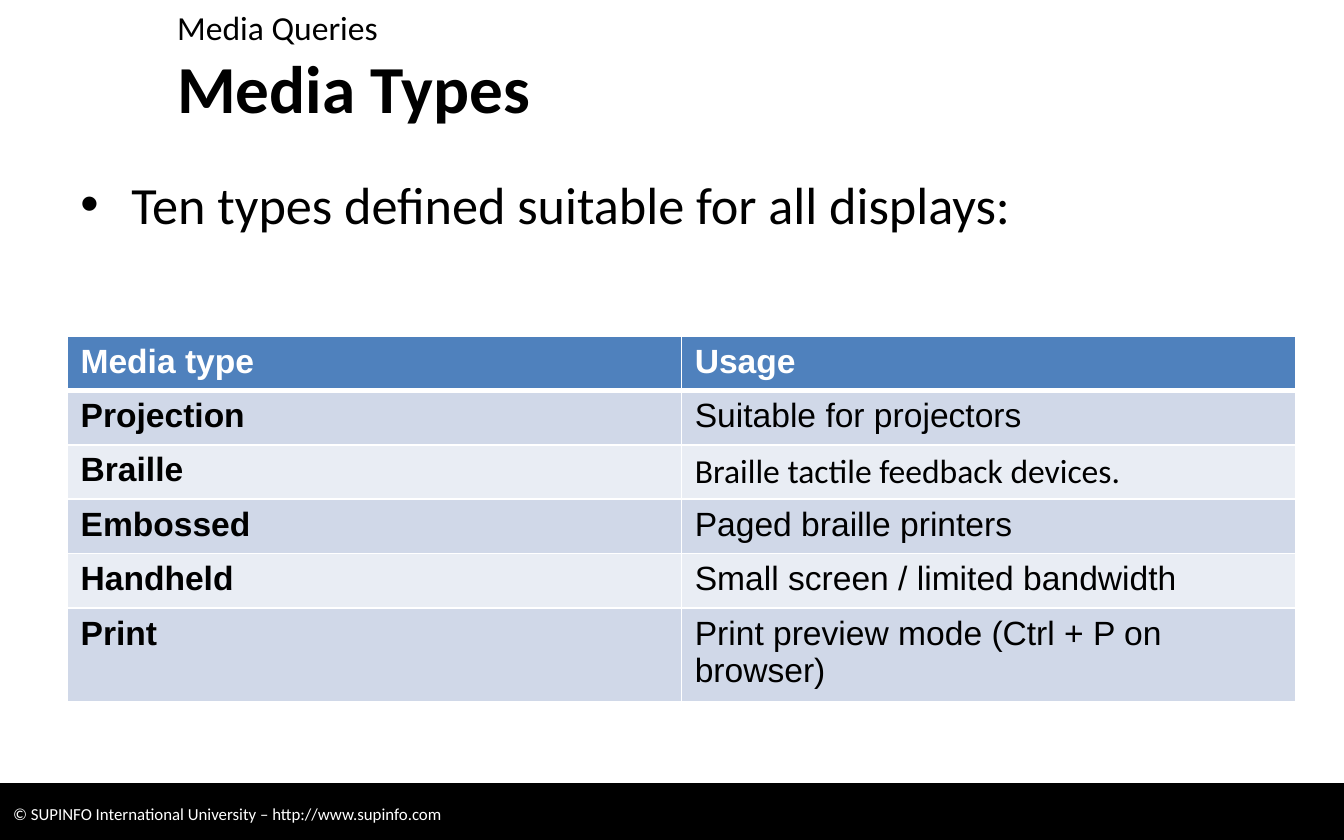
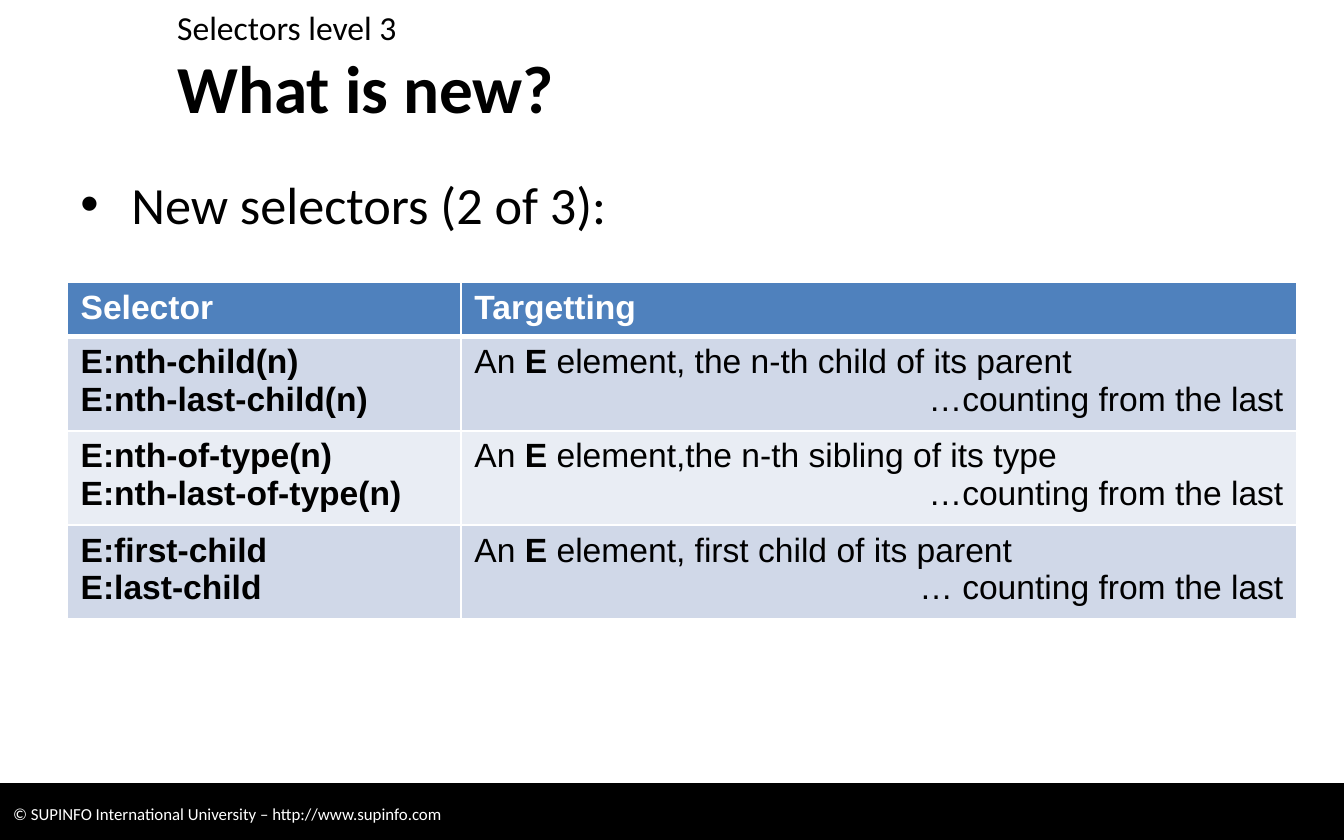
from dataclasses import dataclass
from typing import NamedTuple

from lxml.etree import SubElement
from pptx import Presentation
from pptx.dml.color import RGBColor
from pptx.enum.shapes import MSO_SHAPE
from pptx.enum.text import MSO_ANCHOR, PP_ALIGN
from pptx.oxml.ns import qn
from pptx.slide import Slide
from pptx.table import _Cell
from pptx.text.text import TextFrame, _Paragraph
from pptx.util import Emu, Inches, Pt


@dataclass(frozen=True)
class Theme:
    black: str = "000000"
    white: str = "FFFFFF"
    header: str = "4F81BD"
    bands: tuple[str, str] = ("D0D8E8", "E9EDF4")
    text_font: str = "Calibri"
    table_font: str = "Arial"
    title_size: int = 36
    bullet_size: int = 28
    regular_size: int = 18
    footer_size: int = 9
    thin_line: float = 1
    header_line: float = 3


class Span(NamedTuple):
    text: str
    bold: bool = False


class Line(NamedTuple):
    spans: tuple[Span, ...]
    align: PP_ALIGN = PP_ALIGN.LEFT


class CellText(NamedTuple):
    lines: tuple[Line, ...]
    font: str


class TableSpec(NamedTuple):
    top: float
    height: float
    columns: tuple[float, ...]
    headings: tuple[str, ...]
    rows: tuple[tuple[CellText, ...], ...]


class PageSpec(NamedTuple):
    section: str
    title: str
    bullet: str
    table: TableSpec


THEME = Theme()
PAGE_WIDTH, PAGE_HEIGHT = Inches(10), Inches(6.25)
HEADING_LEFT = Inches(1.22)
BODY_LEFT = Inches(0.5)
ROW_HEIGHT = Emu(Inches(2.43) // 6)
FOOTER = "© SUPINFO International University – http://www.supinfo.com"


# Content
def plain(text: str, bold: bool = False, font: str = THEME.table_font) -> CellText:
    return CellText((Line((Span(text, bold),)),), font)


def target(description: str, ending: str = "…counting from the last") -> CellText:
    first = Line((Span("An "), Span("E", True), Span(description)))
    return CellText((first, Line((Span(ending),), PP_ALIGN.RIGHT)), THEME.table_font)


PAGES = (
    PageSpec(
        "Media Queries", "Media Types", "Ten types defined suitable for all displays:",
        TableSpec(2.5, 2.43, (4.57, 4.57), ("Media type", "Usage"), (
            (plain("Projection", True), plain("Suitable for projectors")),
            (plain("Braille", True),
             plain("Braille tactile feedback devices.", font=THEME.text_font)),
            (plain("Embossed", True), plain("Paged braille printers")),
            (plain("Handheld", True), plain("Small screen / limited bandwidth")),
            (plain("Print", True), plain("Print preview mode (Ctrl + P on browser)")),
        )),
    ),
    PageSpec(
        "Selectors level 3", "What is new?", "New selectors (2 of 3):",
        TableSpec(2.1, 2.51, (2.93, 6.22), ("Selector", "Targetting"), (
            (plain("E:nth-child(n)\nE:nth-last-child(n)", True),
             target(" element, the n-th child of its parent")),
            (plain("E:nth-of-type(n)\nE:nth-last-of-type(n)", True),
             target(" element,the n-th sibling of its type")),
            (plain("E:first-child\nE:last-child", True),
             target(" element, first child of its parent", "… counting from the last")),
        )),
    ),
)


# Text
def add_bullet(para: _Paragraph) -> None:
    properties = para._p.get_or_add_pPr()
    properties.set("marL", str(Inches(0.38)))
    properties.set("indent", str(-Inches(0.38)))
    SubElement(properties, qn("a:buFont"), typeface="Arial")
    SubElement(properties, qn("a:buChar"), char="•")


def write(frame: TextFrame, lines: str | tuple[Line, ...], *, size: int,
          font: str = THEME.text_font, color: str = THEME.black, bold: bool = False,
          bullet: bool = False, anchor: MSO_ANCHOR = MSO_ANCHOR.TOP) -> None:
    if isinstance(lines, str):
        lines = (Line((Span(lines, bold),)),)
    frame.word_wrap = True
    frame.vertical_anchor = anchor
    for index, line in enumerate(lines):
        para = frame.add_paragraph() if index else frame.paragraphs[0]
        para.alignment = line.align
        if bullet:
            add_bullet(para)
        for span in line.spans:
            for part_index, part in enumerate(span.text.split("\n")):
                if part_index:
                    para.add_line_break()
                run = para.add_run()
                run.text = part
                run.font.name = font
                run.font.size = Pt(size)
                run.font.bold = span.bold
                run.font.color.rgb = RGBColor.from_string(color)


# Shared page parts
def add_footer(page: Slide) -> None:
    band = page.shapes.add_shape(MSO_SHAPE.RECTANGLE, 0, Inches(5.83), PAGE_WIDTH, Inches(0.45))
    band.shadow.inherit = False
    band.fill.solid()
    band.fill.fore_color.rgb = RGBColor.from_string(THEME.black)
    band.line.color.rgb = RGBColor.from_string(THEME.black)
    band.line.width = Pt(0.75)
    write(band.text_frame, FOOTER, size=THEME.footer_size, color=THEME.white,
          anchor=MSO_ANCHOR.MIDDLE)


def add_headings(page: Slide, content: PageSpec) -> None:
    title = page.shapes.add_textbox(HEADING_LEFT, Inches(0.37), Inches(8.5), Inches(0.55))
    write(title.text_frame, content.title, size=THEME.title_size, bold=True,
          anchor=MSO_ANCHOR.MIDDLE)
    body = page.shapes.add_textbox(BODY_LEFT, Inches(1.23), Inches(9.23), Inches(4.63))
    write(body.text_frame, content.bullet, size=THEME.bullet_size, bullet=True)
    section = page.shapes.add_textbox(HEADING_LEFT, 0, Inches(8.51), Inches(0.37))
    write(section.text_frame, content.section, size=THEME.regular_size)


# Tables
def style_cell(cell: _Cell, fill: str, top: float, bottom: float) -> None:
    properties = cell._tc.get_or_add_tcPr()
    widths = {"lnL": THEME.thin_line, "lnR": THEME.thin_line, "lnT": top, "lnB": bottom}
    for side, width in widths.items():
        border = SubElement(properties, qn(f"a:{side}"), w=str(Pt(width)))
        paint = SubElement(border, qn("a:solidFill"))
        SubElement(paint, qn("a:srgbClr"), val=THEME.white)
    cell.fill.solid()
    cell.fill.fore_color.rgb = RGBColor.from_string(fill)


def add_data_table(page: Slide, spec: TableSpec) -> None:
    rows = (tuple(plain(heading, True) for heading in spec.headings), *spec.rows)
    holder = page.shapes.add_table(len(rows), len(spec.columns), BODY_LEFT, Inches(spec.top),
                                   Inches(sum(spec.columns)), Emu(ROW_HEIGHT * len(rows)))
    table = holder.table
    for column, width in zip(table.columns, spec.columns):
        column.width = Inches(width)
    for row_index, row in enumerate(rows):
        is_header = row_index == 0
        fill = THEME.header if is_header else THEME.bands[(row_index - 1) % 2]
        top = THEME.header_line if row_index == 1 else THEME.thin_line
        bottom = THEME.header_line if is_header else THEME.thin_line
        for column_index, content in enumerate(row):
            cell = table.cell(row_index, column_index)
            style_cell(cell, fill, top, bottom)
            write(cell.text_frame, content.lines, size=THEME.regular_size, font=content.font,
                  color=THEME.white if is_header else THEME.black)
    holder.height = Inches(spec.height)


def main() -> None:
    deck = Presentation()
    deck.slide_width, deck.slide_height = PAGE_WIDTH, PAGE_HEIGHT
    for content in PAGES:
        page = deck.slides.add_slide(deck.slide_layouts[6])
        add_footer(page)
        add_headings(page, content)
        add_data_table(page, content.table)
    deck.save("out.pptx")


if __name__ == "__main__":
    main()
